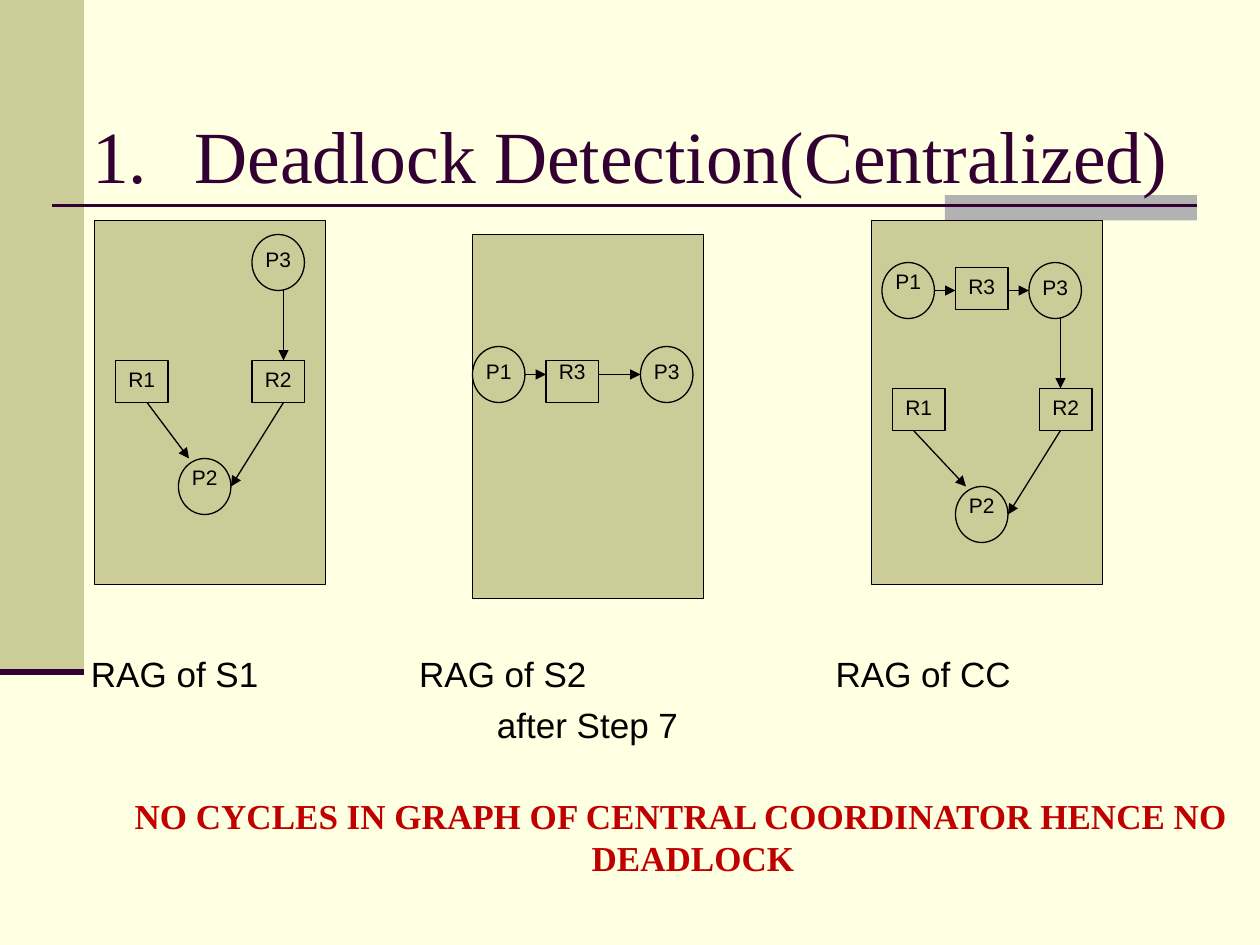
from lxml.etree import SubElement
from pptx import Presentation
from pptx.dml.color import RGBColor
from pptx.enum.shapes import MSO_CONNECTOR, MSO_SHAPE
from pptx.enum.text import MSO_ANCHOR, PP_ALIGN
from pptx.oxml.ns import qn
from pptx.util import Pt

HUES = {"page": "FFFFE1", "sand": "CCCC99", "gray": "B2B2B2",
        "plum": "330033", "ink": "000000", "red": "C00000"}
PANELS = [(54, 126), (270, 134), (498, 126)]
# name, left, top, shift of the label
NODES = [
    ("P3", 144, 134, 3), ("P2", 102, 262, 0), ("R1", 66, 206, 0), ("R2", 144, 206, 0),
    ("P1", 270, 198, 3), ("R3", 312, 206, -5), ("P3", 366, 198, 3),
    ("P1", 504, 150, 0), ("R3", 546, 153, 0), ("P3", 588, 150, 3),
    ("R1", 510, 222, 0), ("R2", 594, 222, 0), ("P2", 546, 278, 0),
]
EDGES = [
    (162, 166, 162, 206), (162, 230, 132, 278), (84, 230, 108, 262),
    (300, 214, 312, 214), (342, 214, 366, 214),
    (534, 166, 546, 166), (576, 166, 588, 166), (606, 182, 606, 222),
    (606, 246, 576, 294), (522, 246, 552, 278),
]
LABELS = [("RAG of S1", 52, 373), ("RAG of S2", 239.5, 373),
          ("RAG of CC", 477.5, 373), ("after Step 7", 284, 402)]


def hue(name):
    return RGBColor.from_string(HUES[name])


def write(frame, text, size=20, face="Arial", tone="ink", bold=False,
          align=PP_ALIGN.LEFT, anchor=MSO_ANCHOR.TOP, top=0, left=0, hang=0, count=False):
    frame.word_wrap = True
    frame.vertical_anchor = anchor
    frame.margin_left = frame.margin_right = frame.margin_bottom = 0
    frame.margin_top = Pt(top)
    par = frame.paragraphs[0]
    par.alignment = align
    props = par._p.get_or_add_pPr()
    props.set("marL", str(Pt(left)))
    props.set("indent", str(Pt(-hang)))
    if count:
        SubElement(props, qn("a:buAutoNum"), type="arabicPeriod")
    run = par.add_run()
    run.text = text
    font = run.font
    font.size, font.name, font.bold = Pt(size), face, bold
    font.color.rgb = hue(tone)


class Deck:
    """Holds the style and the current slide."""

    def __init__(self):
        self.show = Presentation()
        self.show.slide_width, self.show.slide_height = Pt(720), Pt(540)
        self.slide = self.show.slides.add_slide(self.show.slide_layouts[6])
        back = self.slide.background.fill
        back.solid()
        back.fore_color.rgb = hue("page")

    def shape(self, x, y, w, h, fill="sand", edge=True, kind=MSO_SHAPE.RECTANGLE):
        form = self.slide.shapes.add_shape(kind, Pt(x), Pt(y), Pt(w), Pt(h))
        form.shadow.inherit = False
        form.fill.solid()
        form.fill.fore_color.rgb = hue(fill)
        if edge:
            form.line.color.rgb = hue("ink")
            form.line.width = Pt(0.75)
        else:
            form.line.fill.background()
        return form

    def node(self, name, x, y, shift):
        if name.startswith("P"):
            form = self.shape(x, y, 30, 32, kind=MSO_SHAPE.OVAL)
            top = shift - 1
        else:
            form = self.shape(x, y, 30, 24)
            top = shift + 3.6
        write(form.text_frame, name, size=12, align=PP_ALIGN.CENTER, top=top)

    def line(self, x1, y1, x2, y2, tone="ink", width=0.75, arrow=False):
        link = self.slide.shapes.add_connector(
            MSO_CONNECTOR.STRAIGHT, Pt(x1), Pt(y1), Pt(x2), Pt(y2))
        link.line.color.rgb = hue(tone)
        link.line.width = Pt(width)
        if arrow:
            SubElement(link.line._get_or_add_ln(), qn("a:tailEnd"), type="triangle")
        SubElement(link._element.spPr, qn("a:effectLst"))

    def text(self, text, x, y, w, h, **form):
        box = self.slide.shapes.add_textbox(Pt(x), Pt(y), Pt(w), Pt(h))
        write(box.text_frame, text, **form)


def main():
    deck = Deck()
    deck.shape(0, 0, 48, 384, edge=False)
    deck.shape(540, 111.5, 144, 14.5, fill="gray", edge=False)
    deck.line(30, 117.5, 684, 117.5, tone="plum", width=1.5)
    deck.line(0, 384, 48, 384, tone="plum", width=3.5)
    deck.text("Deadlock Detection(Centralized)", 43, 55.5, 634, 65, size=42,
              face="Times New Roman", tone="plum", align=PP_ALIGN.CENTER,
              anchor=MSO_ANCHOR.MIDDLE, left=58.5, hang=58.5, count=True)
    for x, y in PANELS:
        deck.shape(x, y, 132, 208)
    for node in NODES:
        deck.node(*node)
    for edge in EDGES:
        deck.line(*edge, arrow=True)
    for label, x, y in LABELS:
        deck.text(label, x, y, 130, 24)
    deck.text("NO CYCLES IN GRAPH OF CENTRAL COORDINATOR HENCE NO DEADLOCK",
              52, 454, 661, 48, face="Times New Roman", tone="red", bold=True,
              align=PP_ALIGN.CENTER, left=27, hang=14)
    deck.show.save("out.pptx")


if __name__ == "__main__":
    main()
